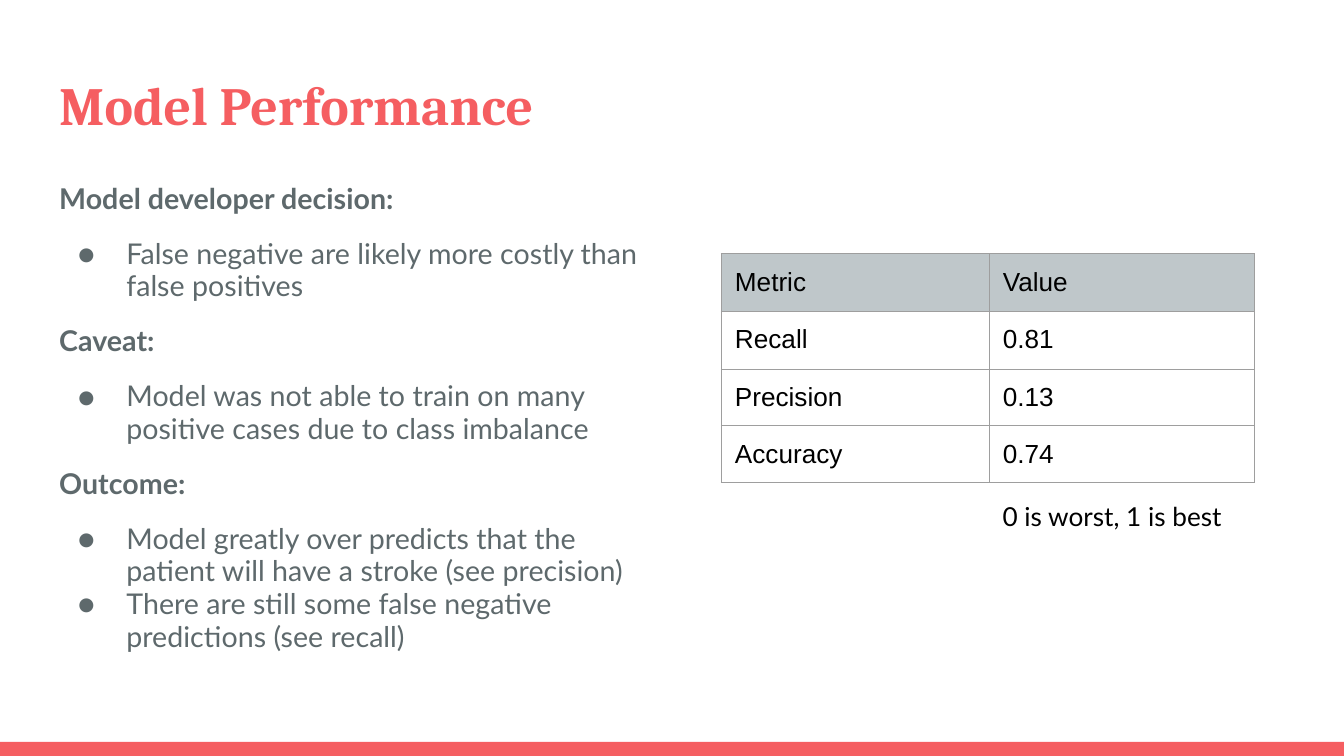
"""Build the Model Performance slide with findings and a metrics table."""
from lxml import etree
from pptx import Presentation
from pptx.dml.color import RGBColor
from pptx.enum.shapes import MSO_SHAPE
from pptx.enum.text import MSO_ANCHOR, MSO_AUTO_SIZE, PP_ALIGN
from pptx.oxml.ns import qn
from pptx.util import Pt

RECTANGLE = MSO_SHAPE.RECTANGLE
TOP, MIDDLE = MSO_ANCHOR.TOP, MSO_ANCHOR.MIDDLE
NO_AUTOFIT = MSO_AUTO_SIZE.NONE
LEFT = PP_ALIGN.LEFT

FINDINGS = [
    ("Model developer decision:",
     ["False negative are likely more costly than false positives"]),
    ("Caveat:",
     ["Model was not able to train on many positive cases due to class imbalance"]),
    ("Outcome:",
     ["Model greatly over predicts that the patient will have a stroke (see precision)",
      "There are still some false negative predictions (see recall)"]),
]
METRICS = [("Metric", "Value"), ("Recall", "0.81"), ("Precision", "0.13"), ("Accuracy", "0.74")]


def color(value):
    """Turn a hex string into a colour."""
    return RGBColor.from_string(value)


class SlideBuilder:
    """Hold the style and the current slide."""

    ACCENT, GREY, BLACK, WHITE = "F55E61", "5E696C", "000000", "FFFFFF"
    HEADER, BORDER = "BFC7CA", "9E9E9E"
    HEADING_FONT, BODY_FONT, TABLE_FONT = "Cambria", "Lato", "Arial"
    INSET = Pt(7.2)

    def __init__(self, presentation):
        """Add a title and content slide."""
        self.slide = presentation.slides.add_slide(presentation.slide_layouts[1])

    def place(self, shape, left, top, width, height):
        """Set the position and size of a shape in points."""
        shape.left, shape.top = Pt(left), Pt(top)
        shape.width, shape.height = Pt(width), Pt(height)

    def set_insets(self, target):
        """Give a text frame or a cell equal insets."""
        target.margin_left = target.margin_right = self.INSET
        target.margin_top = target.margin_bottom = self.INSET

    def set_frame(self, text_frame, anchor):
        """Set wrapping, insets and anchor of a text frame."""
        text_frame.word_wrap = True
        text_frame.auto_size = NO_AUTOFIT
        text_frame.vertical_anchor = anchor
        self.set_insets(text_frame)

    def style_paragraph(self, paragraph, font, size, hex_color, bold=False):
        """Format every run of a paragraph."""
        paragraph.alignment = LEFT
        for run in paragraph.runs:
            run.font.name = font
            run.font.size = Pt(size)
            run.font.bold = bold
            run.font.color.rgb = color(hex_color)

    def set_bullet(self, paragraph, bulleted):
        """Set the indents and the bullet of a paragraph."""
        properties = paragraph._p.get_or_add_pPr()
        properties.set("marL", str(Pt(36 if bulleted else 0)))
        properties.set("indent", str(Pt(-26 if bulleted else 0)))
        if not bulleted:
            etree.SubElement(properties, qn("a:buNone"))
            return
        bullet_color = etree.SubElement(properties, qn("a:buClr"))
        etree.SubElement(bullet_color, qn("a:srgbClr"), val=self.GREY)
        etree.SubElement(properties, qn("a:buFont"), typeface=self.BODY_FONT)
        etree.SubElement(properties, qn("a:buChar"), char="●")

    def add_bar(self, *box):
        """Add a plain accent bar."""
        shape = self.slide.shapes.add_shape(RECTANGLE, *map(Pt, box))
        shape.shadow.inherit = False
        shape.fill.solid()
        shape.fill.fore_color.rgb = color(self.ACCENT)
        shape.line.fill.background()

    def add_title(self, text, *box):
        """Fill the title placeholder."""
        title = self.slide.shapes.title
        self.place(title, *box)
        self.set_frame(title.text_frame, MIDDLE)
        title.text_frame.text = text
        self.style_paragraph(title.text_frame.paragraphs[0], self.HEADING_FONT, 28.8,
                             self.ACCENT, bold=True)

    def add_findings(self, findings, *box):
        """Fill the body placeholder with headings and their bullets."""
        body = self.slide.placeholders[1]
        self.place(body, *box)
        self.set_frame(body.text_frame, TOP)
        lines = []
        for heading, points in findings:
            lines.append((heading, False, 12 if lines else 0))
            lines += [(point, True, 0 if index else 12) for index, point in enumerate(points)]
        body.text_frame.text = "\n".join(text for text, _, _ in lines)
        for paragraph, (_, bulleted, space) in zip(body.text_frame.paragraphs, lines):
            paragraph.line_spacing = 0.95
            paragraph.space_before = Pt(space)
            paragraph.space_after = Pt(0)
            self.set_bullet(paragraph, bulleted)
            self.style_paragraph(paragraph, self.BODY_FONT, 15.3, self.GREY, bold=not bulleted)

    def set_borders(self, cell):
        """Draw a thin line on each side of a cell."""
        properties = cell._tc.get_or_add_tcPr()
        for index, side in enumerate(("lnL", "lnR", "lnT", "lnB")):
            line = etree.Element(qn(f"a:{side}"), w=str(Pt(0.75)))
            fill = etree.SubElement(line, qn("a:solidFill"))
            etree.SubElement(fill, qn("a:srgbClr"), val=self.BORDER)
            properties.insert(index, line)

    def add_table(self, rows, left, top, widths, heights):
        """Add a bordered table with a shaded header row."""
        table = self.slide.shapes.add_table(
            len(rows), len(widths), Pt(left), Pt(top), Pt(sum(widths)), Pt(sum(heights))).table
        table.first_row = table.horz_banding = False
        for column, width in zip(table.columns, widths):
            column.width = Pt(width)
        for row_index, (values, height) in enumerate(zip(rows, heights)):
            table.rows[row_index].height = Pt(height)
            for column_index, value in enumerate(values):
                cell = table.cell(row_index, column_index)
                cell.text_frame.text = value
                self.set_insets(cell)
                self.style_paragraph(cell.text_frame.paragraphs[0], self.TABLE_FONT, 14, self.BLACK)
                cell.fill.solid()
                cell.fill.fore_color.rgb = color(self.WHITE if row_index else self.HEADER)
                self.set_borders(cell)

    def add_note(self, text, *box):
        """Add a small text box."""
        text_frame = self.slide.shapes.add_textbox(*map(Pt, box)).text_frame
        self.set_frame(text_frame, TOP)
        text_frame.text = text
        self.style_paragraph(text_frame.paragraphs[0], self.BODY_FONT, 14, self.BLACK)


def main():
    """Build and save the presentation."""
    presentation = Presentation()
    presentation.slide_width, presentation.slide_height = Pt(720), Pt(405)
    builder = SlideBuilder(presentation)
    builder.add_bar(0, 397.5, 720, 7.5)
    builder.add_title("Model Performance", 24.5, 31, 671, 49)
    builder.add_findings(FINDINGS, 24.5, 91, 335.5, 269)
    builder.add_table(METRICS, 386.5, 136, (143.5, 142), (31, 31, 30, 30))
    builder.add_note("0 is worst, 1 is best", 530, 261, 137.5, 31.5)
    presentation.save("out.pptx")


if __name__ == "__main__":
    main()
